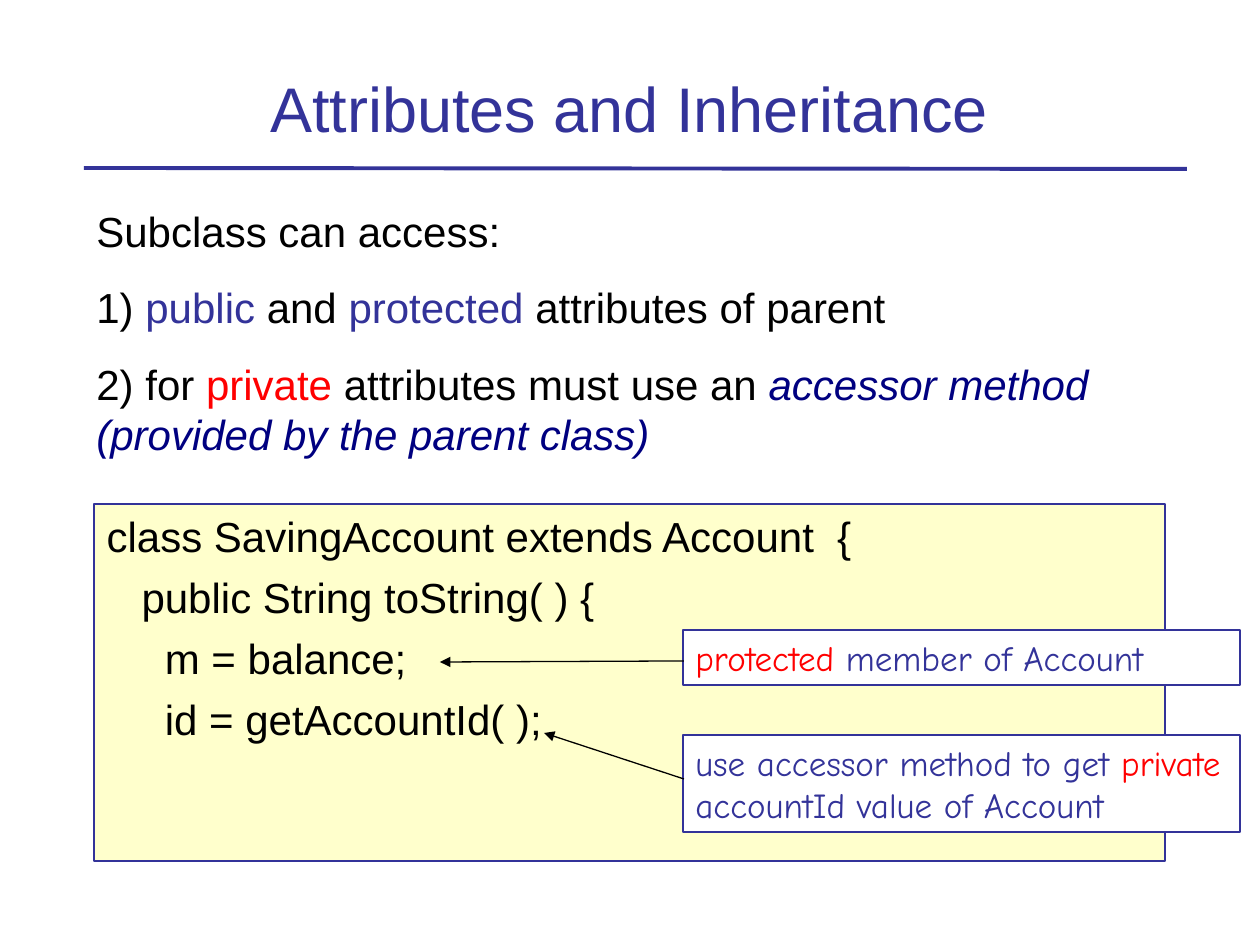
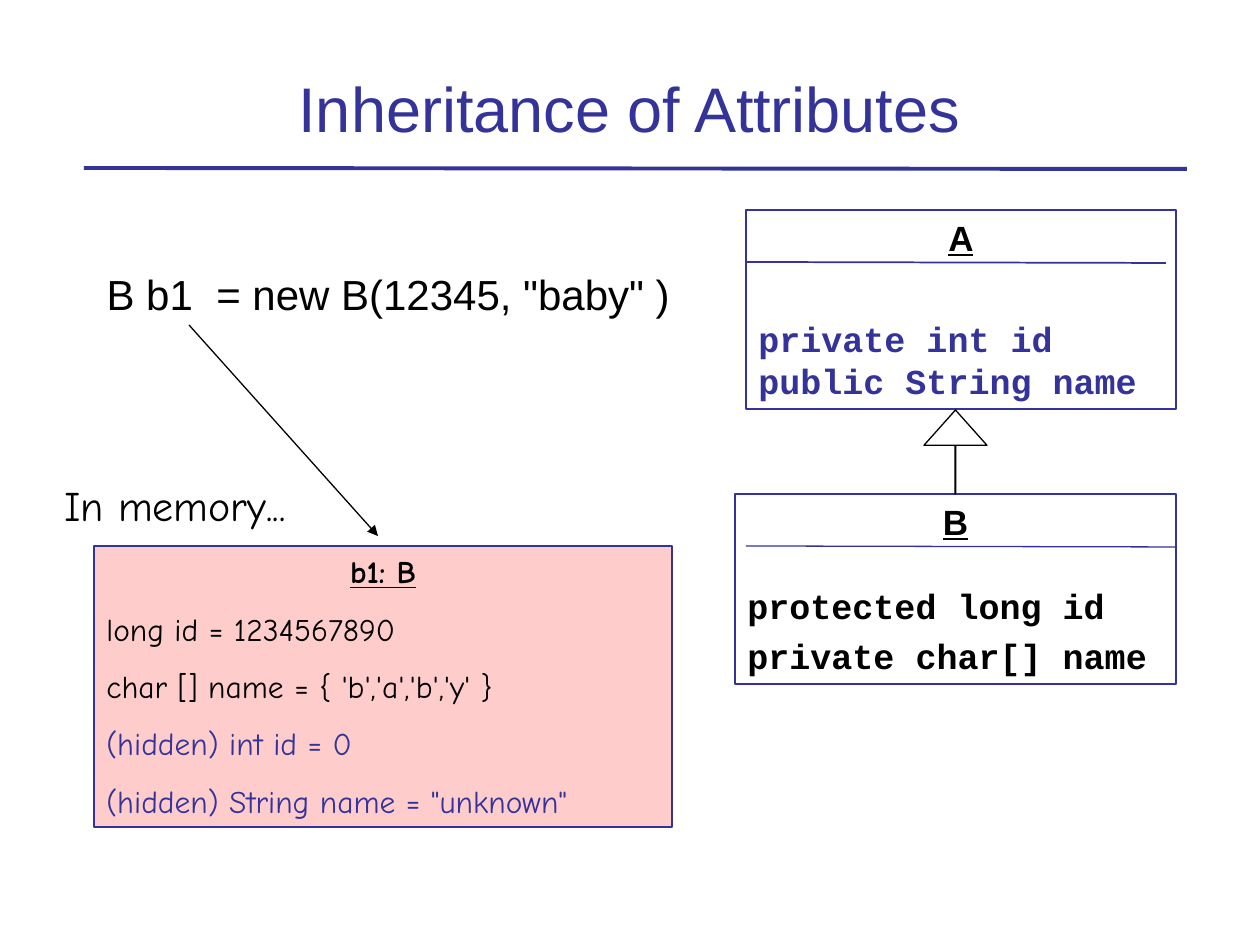
from dataclasses import dataclass, field
from typing import Any, NamedTuple

from lxml import etree
from pptx import Presentation
from pptx import util as u
from pptx.dml import color as dml
from pptx.enum import shapes, text
from pptx.oxml import ns

SCALE = 914400 / 126
BLUE, BLACK, RED, NAVY = "333399", "000000", "FF0000", "000080"
WHITE, CREAM, PINK = "FFFFFF", "FFFFCC", "FFCCCC"
SANS, COMIC, MONO = "Arial", "Comic Neue", "Courier New"
LEFT, MID = text.PP_ALIGN.LEFT, text.PP_ALIGN.CENTER
LEAD = 1.2


class Run(NamedTuple):
    words: str
    hue: str = BLACK
    form: dict[str, Any] = {}


class Para(NamedTuple):
    runs: list[Run]
    size: int = 24
    face: str = SANS
    gap: float = 0
    align: Any = LEFT
    hang: int = 0


@dataclass
class Box:
    x: int
    y: int
    w: int
    h: int
    paras: list[Para] = field(default_factory=list)
    fill: str = ""
    edge: str = ""
    width: float = 0.75


class Line(NamedTuple):
    x1: int
    y1: int
    x2: int
    y2: int
    hue: str = BLACK
    width: float = 0.75
    arrow: bool = False


def px(n: int) -> int:
    return round(n * SCALE)


def rgb(hue: str) -> dml.RGBColor:
    return dml.RGBColor.from_string(hue)


def apply(obj: Any, form: dict[str, Any]) -> None:
    for name, value in form.items():
        setattr(obj, name, value)


def column(rows: list[list[Run]], gap: float, **form: Any) -> list[Para]:
    return [Para(row, gap=gap if i else 0, **form) for i, row in enumerate(rows)]


def write(shape: Any, paras: list[Para], anchor: Any = text.MSO_ANCHOR.TOP) -> None:
    frame = shape.text_frame
    apply(frame, {
        "word_wrap": True, "auto_size": text.MSO_AUTO_SIZE.NONE,
        "vertical_anchor": anchor,
        "margin_left": u.Inches(0.1), "margin_right": u.Inches(0.1),
        "margin_top": u.Inches(0.05), "margin_bottom": u.Inches(0.05),
    })
    for i, para in enumerate(paras):
        item = frame.add_paragraph() if i else frame.paragraphs[0]
        props = item._p.get_or_add_pPr()
        props.set("marL", str(px(para.hang)))
        props.set("indent", str(-px(para.hang)))
        etree.SubElement(props, ns.qn("a:buNone"))
        apply(item, {
            "alignment": para.align, "space_before": u.Pt(para.gap),
            "space_after": u.Pt(0), "line_spacing": u.Pt(para.size * LEAD),
        })
        for run in para.runs:
            part = item.add_run()
            part.text = run.words
            form = {"name": para.face, "size": u.Pt(para.size), "bold": False}
            apply(part.font, form | run.form)
            part.font.color.rgb = rgb(run.hue)


def paint(shape: Any, box: Box) -> None:
    if box.fill:
        shape.fill.solid()
        shape.fill.fore_color.rgb = rgb(box.fill)
    else:
        shape.fill.background()
    if box.edge:
        shape.line.color.rgb = rgb(box.edge)
        shape.line.width = u.Pt(box.width)
    else:
        shape.line.fill.background()


def place(shape: Any, box: Box) -> None:
    apply(shape, {"left": px(box.x), "top": px(box.y),
                  "width": px(box.w), "height": px(box.h)})


def preset(slide: Any, box: Box, kind: Any = shapes.MSO_SHAPE.RECTANGLE) -> Any:
    shape = slide.shapes.add_shape(kind, px(box.x), px(box.y), px(box.w), px(box.h))
    shape.shadow.inherit = False
    paint(shape, box)
    if box.paras:
        write(shape, box.paras)
    return shape


def label(slide: Any, box: Box) -> None:
    shape = slide.shapes.add_textbox(px(box.x), px(box.y), px(box.w), px(box.h))
    write(shape, box.paras)


def rule(slide: Any, line: Line) -> None:
    shape = slide.shapes.add_connector(
        shapes.MSO_CONNECTOR.STRAIGHT,
        px(line.x1), px(line.y1), px(line.x2), px(line.y2))
    shape.line.color.rgb = rgb(line.hue)
    shape.line.width = u.Pt(line.width)
    if line.arrow:
        etree.SubElement(shape.line._get_or_add_ln(), ns.qn("a:tailEnd"), type="triangle")
    etree.SubElement(shape._element.spPr, ns.qn("a:effectLst"))


def start(deck: Any, title: str, body: Box) -> Any:
    slide = deck.slides.add_slide(deck.slide_layouts[1])
    head, main = slide.placeholders
    place(head, Box(84, 32, 1091, 119))
    write(head, [Para([Run(title, BLUE)], 36, align=MID)], text.MSO_ANCHOR.BOTTOM)
    place(main, body)
    paint(main, body)
    write(main, body.paras)
    rule(slide, Line(84, 168, 1187, 169, BLUE, 2.25))
    return slide


def access(deck: Any) -> None:
    code = [
        "class SavingAccount extends Account  {",
        "   public String toString( ) {",
        "     m = balance;",
        "     id = getAccountId( );",
    ]
    rows = column([[Run(row)] for row in code], 6, hang=31)
    slide = start(deck, "Attributes and Inheritance",
                  Box(94, 504, 1071, 357, rows, CREAM, BLUE))
    points = [
        [Run("Subclass can access:")],
        [Run("1) "), Run("public", BLUE), Run(" and "), Run("protected", BLUE),
         Run(" attributes of parent")],
        [Run("2) for "), Run("private", RED), Run(" attributes must use an "),
         Run("accessor method (provided by the parent class)", NAVY, {"italic": True})],
    ]
    label(slide, Box(84, 199, 1092, 267, column(points, 15)))
    notes = [
        (630, 55, [Run("protected", RED), Run(" member of Account", BLUE)]),
        (735, 97, [Run("use accessor method to get ", BLUE), Run("private", RED),
                   Run(" accountId value of Account", BLUE)]),
    ]
    for y, h, runs in notes:
        preset(slide, Box(683, y, 557, h, [Para(runs, 20, COMIC)], WHITE, BLUE))
    rule(slide, Line(684, 661, 440, 662, arrow=True))
    rule(slide, Line(684, 779, 544, 733, arrow=True))


def memory(deck: Any) -> None:
    call = Para([Run('B b1  = new B(12345, "baby" )')], hang=31)
    slide = start(deck, "Inheritance of Attributes", Box(94, 262, 620, 94, [call]))
    bold = {"bold": True}
    name = bold | {"underline": True}

    def model(title: str, rows: list[str], hue: str, gaps: list[int]) -> list[Para]:
        top = Para([Run(title, BLACK, name)], 20, align=MID)
        return [top] + [Para([Run(row, hue, bold)], 20, MONO, gap)
                        for row, gap in zip(rows, gaps)]

    child = model("B", ["protected long id", "private char[] name"], BLACK, [24, 5])
    parent = model("A", ["private int id", "public String name"], BLUE, [34, 0])
    preset(slide, Box(735, 494, 441, 190, child, edge=BLUE))
    preset(slide, Box(746, 210, 430, 199, parent, WHITE, BLUE, 1.5))
    rule(slide, Line(746, 262, 1166, 263, BLUE, 1))
    rule(slide, Line(746, 546, 1176, 547, BLUE))
    arrow = preset(slide, Box(924, 410, 63, 84, edge=BLACK), shapes.MSO_SHAPE.UP_ARROW)
    for i, value in enumerate((0.01, 0.56)):
        arrow.adjustments[i] = value
    fields = [
        ("long id = 1234567890", BLACK),
        ("char [] name = { 'b','a','b','y' }", BLACK),
        ("(hidden) int id = 0", BLUE),
        ('(hidden) String name = "unknown"', BLUE),
    ]
    cells = [Para([Run("b1: B", BLACK, name)], 18, COMIC, align=MID)]
    cells += [Para([Run(*cell)], 18, COMIC, 11.2) for cell in fields]
    preset(slide, Box(94, 546, 578, 281, cells, PINK, BLUE))
    rule(slide, Line(189, 325, 378, 536, arrow=True))
    label(slide, Box(52, 473, 357, 63, [Para([Run("In memory...")], face=COMIC)]))


def main() -> None:
    deck = Presentation()
    apply(deck, {"slide_width": px(1260), "slide_height": px(945)})
    access(deck)
    memory(deck)
    deck.save("out.pptx")


if __name__ == "__main__":
    main()
